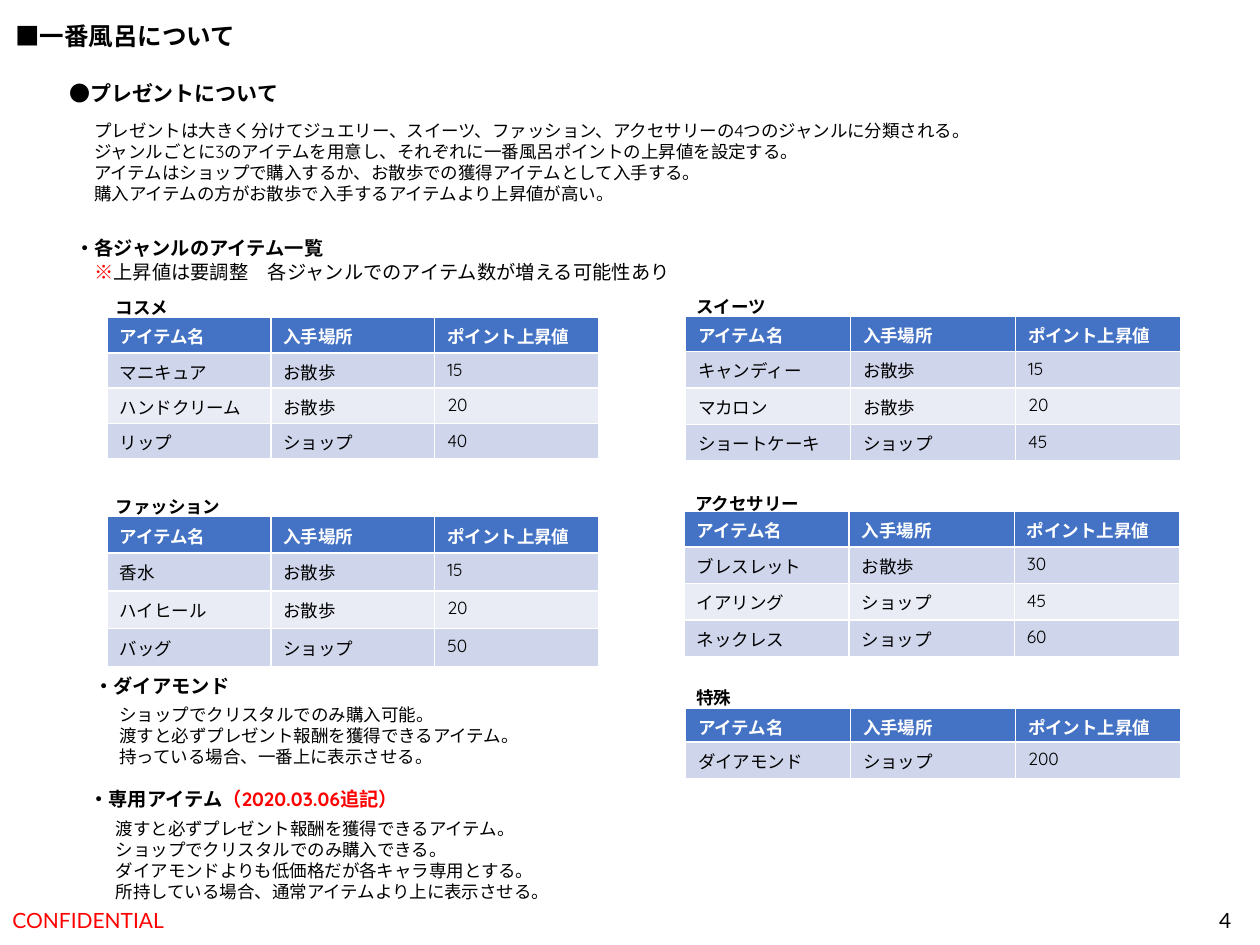
"""Build the slide that explains present items and their point values."""
from dataclasses import dataclass
from typing import NamedTuple

from pptx import Presentation
from pptx.dml.color import RGBColor
from pptx.enum.text import MSO_ANCHOR as Anchor, MSO_AUTO_SIZE as AutoSize, PP_ALIGN as Align
from pptx.util import Inches, Pt


@dataclass(frozen=True)
class Theme:
    title_font: str = "Arial"
    body_font: str = "Quicksand"
    footer_font: str = "Lato"
    title_size: int = 14
    heading_size: int = 12
    subheading_size: int = 11
    body_size: int = 10
    black: str = "000000"
    white: str = "FFFFFF"
    red: str = "FF0000"
    header_fill: str = "4472C4"
    bands: tuple[str, str] = ("CFD5EA", "E9EBF5")


THEME = Theme()


class Run(NamedTuple):
    text: str
    color: str = THEME.black


class Line(NamedTuple):
    runs: tuple[Run, ...]
    bold: bool = False
    indent: float = 0


class Box(NamedTuple):
    left: float
    top: float
    width: float
    height: float


@dataclass(frozen=True)
class TextBlock:
    box: Box
    lines: list[Line]
    size: int = THEME.body_size
    font: str = THEME.body_font
    wrap: bool = True
    grow: bool = True
    anchor: Anchor = Anchor.TOP
    align: Align = Align.LEFT


@dataclass(frozen=True)
class ItemTable:
    caption: str
    caption_box: Box
    left: float
    top: float
    column_width: float
    header_height: float
    row_height: float
    items: list[tuple[str, str, str]]


HEADERS = ("アイテム名", "入手場所", "ポイント上昇値")
WALK, SHOP = "お散歩", "ショップ"


def plain(*texts: str, bold: bool = False, color: str = THEME.black) -> list[Line]:
    """Return one single-run line for each text."""
    return [Line((Run(text, color),), bold) for text in texts]


TITLE = TextBlock(Box(0.02, 0.12, 1.97, 0.34), plain("■一番風呂について", bold=True),
                  THEME.title_size, THEME.title_font, wrap=False)

TEXT_BLOCKS = [
    TextBlock(Box(0, 7.1, 3.38, 0.4), plain("CONFIDENTIAL", color=THEME.red),
              THEME.heading_size, THEME.footer_font, grow=False, anchor=Anchor.MIDDLE),
    TextBlock(Box(7.62, 7.1, 2.25, 0.4), plain("4"), THEME.heading_size,
              THEME.footer_font, grow=False, anchor=Anchor.MIDDLE, align=Align.RIGHT),
    TextBlock(Box(0.45, 0.59, 1.88, 0.3), plain("●プレゼントについて", bold=True),
              THEME.heading_size, wrap=False),
    TextBlock(Box(0.65, 0.9, 7.27, 0.77), plain(
        "プレゼントは大きく分けてジュエリー、スイーツ、ファッション、アクセサリーの4つのジャンルに分類される。",
        "ジャンルごとに3のアイテムを用意し、それぞれに一番風呂ポイントの上昇値を設定する。",
        "アイテムはショップで購入するか、お散歩での獲得アイテムとして入手する。",
        "購入アイテムの方がお散歩で入手するアイテムより上昇値が高い。")),
    TextBlock(Box(0.5, 1.83, 5.73, 0.47), [
        *plain("・各ジャンルのアイテム一覧", bold=True),
        Line((Run("※", THEME.red),
              Run("上昇値は要調整　各ジャンルでのアイテム数が増える可能性あり")), indent=0.15),
    ], THEME.subheading_size),
    TextBlock(Box(0.65, 5.3, 3.99, 0.29), plain("・ダイアモンド", bold=True),
              THEME.subheading_size),
    TextBlock(Box(0.85, 5.54, 3.78, 0.61), plain(
        "ショップでクリスタルでのみ購入可能。",
        "渡すと必ずプレゼント報酬を獲得できるアイテム。",
        "持っている場合、一番上に表示させる。")),
    TextBlock(Box(0.61, 6.2, 3.99, 0.29), [
        Line((Run("・専用アイテム"), Run("（2020.03.06追記）", THEME.red)), bold=True),
    ], THEME.subheading_size),
    TextBlock(Box(0.82, 6.44, 4.58, 0.77), plain(
        "渡すと必ずプレゼント報酬を獲得できるアイテム。",
        "ショップでクリスタルでのみ購入できる。",
        "ダイアモンドよりも低価格だが各キャラ専用とする。",
        "所持している場合、通常アイテムより上に表示させる。")),
]

ITEM_TABLES = [
    ItemTable("コスメ", Box(0.82, 2.31, 1.03, 0.27), 0.85, 2.52, 1.3, 0.28, 0.28, [
        ("マニキュア", WALK, "15"), ("ハンドクリーム", WALK, "20"), ("リップ", SHOP, "40")]),
    ItemTable("スイーツ", Box(5.43, 2.3, 1.03, 0.27), 5.44, 2.51, 1.31, 0.28, 0.29, [
        ("キャンディー", WALK, "15"), ("マカロン", WALK, "20"), ("ショートケーキ", SHOP, "45")]),
    ItemTable("ファッション", Box(0.82, 3.89, 1.2, 0.27), 0.85, 4.1, 1.3, 0.29, 0.3, [
        ("香水", WALK, "15"), ("ハイヒール", WALK, "20"), ("バッグ", SHOP, "50")]),
    ItemTable("アクセサリー", Box(5.42, 3.86, 1.27, 0.27), 5.43, 4.06, 1.31, 0.28, 0.29, [
        ("ブレスレット", WALK, "30"), ("イアリング", SHOP, "45"), ("ネックレス", SHOP, "60")]),
    ItemTable("特殊", Box(5.43, 5.4, 1.2, 0.27), 5.44, 5.62, 1.31, 0.25, 0.29, [
        ("ダイアモンド", SHOP, "200")]),
]


def write_line(paragraph, line: Line, size: int, font: str) -> None:
    """Write the runs of a line and set its shared font on the paragraph."""
    if line.indent:
        paragraph._p.get_or_add_pPr().set("marL", str(Inches(line.indent)))
    paragraph.font.name = font
    paragraph.font.size = Pt(size)
    paragraph.font.bold = line.bold
    colors = {run.color for run in line.runs}
    if len(colors) == 1:
        paragraph.font.color.rgb = RGBColor.from_string(colors.pop())
    for part in line.runs:
        run = paragraph.add_run()
        run.text = part.text
        if len({other.color for other in line.runs}) > 1:
            run.font.color.rgb = RGBColor.from_string(part.color)


def fill_text(shape, block: TextBlock) -> None:
    """Place a text shape and write its lines."""
    shape.left, shape.top, shape.width, shape.height = map(Inches, block.box)
    frame = shape.text_frame
    frame.word_wrap = block.wrap
    frame.auto_size = AutoSize.SHAPE_TO_FIT_TEXT if block.grow else AutoSize.NONE
    frame.vertical_anchor = block.anchor
    for index, line in enumerate(block.lines):
        paragraph = frame.add_paragraph() if index else frame.paragraphs[0]
        paragraph.alignment = block.align
        write_line(paragraph, line, block.size, block.font)


def add_text(slide, block: TextBlock) -> None:
    """Add a text box for a block."""
    fill_text(slide.shapes.add_textbox(*map(Inches, block.box)), block)


def add_item_table(slide, spec: ItemTable) -> None:
    """Add an item table and the caption above it."""
    rows = [HEADERS, *spec.items]
    width = spec.column_width * len(HEADERS)
    height = spec.header_height + spec.row_height * len(spec.items)
    table = slide.shapes.add_table(len(rows), len(HEADERS), *map(
        Inches, (spec.left, spec.top, width, height))).table
    for column in table.columns:
        column.width = Inches(spec.column_width)
    for row_index, texts in enumerate(rows):
        header = row_index == 0
        table.rows[row_index].height = Inches(spec.header_height if header else spec.row_height)
        fill = THEME.header_fill if header else THEME.bands[(row_index - 1) % 2]
        color = THEME.white if header else THEME.black
        for column_index, text in enumerate(texts):
            cell = table.cell(row_index, column_index)
            cell.fill.solid()
            cell.fill.fore_color.rgb = RGBColor.from_string(fill)
            write_line(cell.text_frame.paragraphs[0], Line((Run(text, color),), header),
                       THEME.body_size, THEME.body_font)
    add_text(slide, TextBlock(spec.caption_box, plain(spec.caption, bold=True)))


def main() -> None:
    """Build and save the presentation."""
    presentation = Presentation()
    presentation.slide_width, presentation.slide_height = Inches(10), Inches(7.5)
    slide = presentation.slides.add_slide(presentation.slide_layouts[5])
    fill_text(slide.shapes.title, TITLE)
    for item_table in ITEM_TABLES:
        add_item_table(slide, item_table)
    for block in TEXT_BLOCKS:
        add_text(slide, block)
    presentation.save("out.pptx")


if __name__ == "__main__":
    main()
